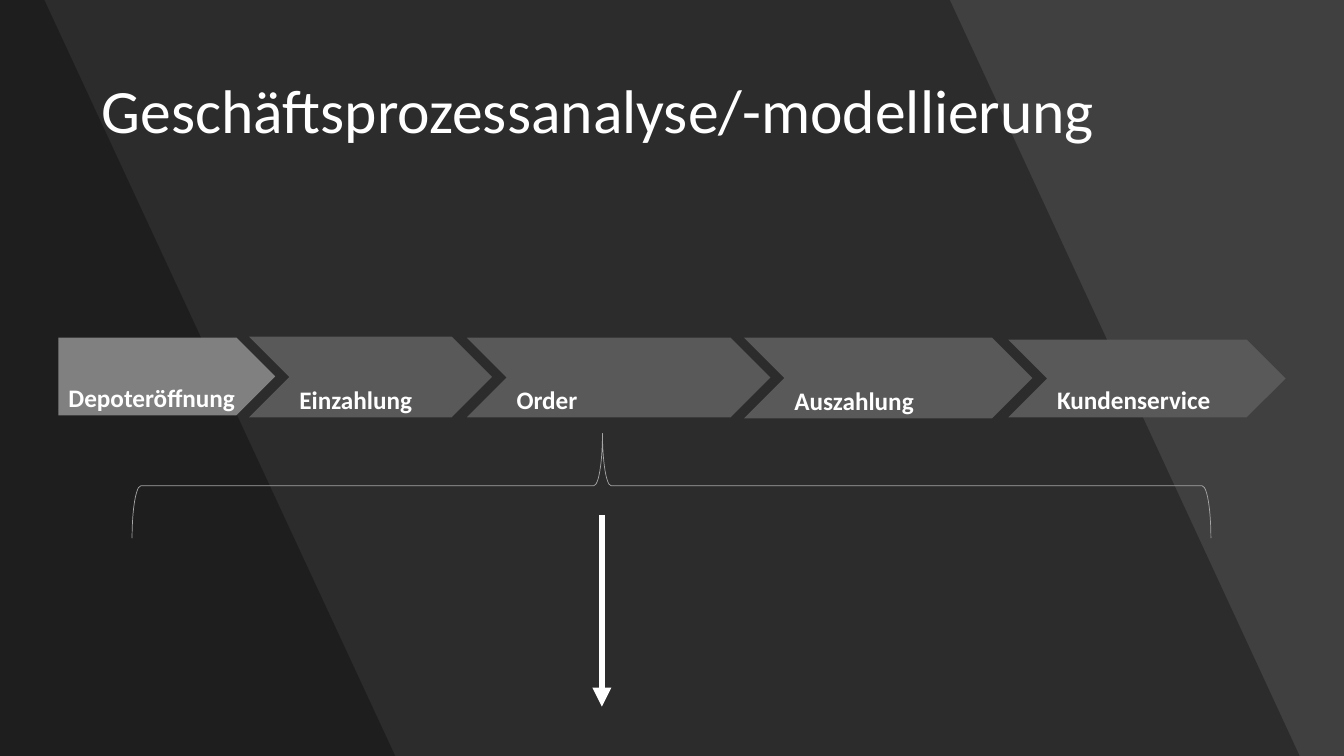
from pptx import Presentation
from pptx.dml.color import RGBColor
from pptx.enum.shapes import MSO_CONNECTOR, MSO_SHAPE
from pptx.enum.text import MSO_ANCHOR, PP_ALIGN
from pptx.oxml.ns import qn
from pptx.util import Inches, Pt
from lxml.etree import SubElement

WHITE = RGBColor(0xFF, 0xFF, 0xFF)
BLACK = RGBColor(0x00, 0x00, 0x00)
BACKDROP = RGBColor(0x40, 0x40, 0x40)
STEP_GRAY = RGBColor(0x59, 0x59, 0x59)
START_GRAY = RGBColor(0x80, 0x80, 0x80)
BRACE_GRAY = RGBColor(0xA5, 0xA5, 0xA5)
WIDTH, HEIGHT = 13.33, 7.5


class ProcessSlide:
    font = "Calibri"

    def __init__(self, prs):
        self.slide = prs.slides.add_slide(prs.slide_layouts[5])
        self.shapes = self.slide.shapes
        fill = self.slide.background.fill
        fill.solid()
        fill.fore_color.rgb = BACKDROP

    def set_text(self, sp, text, size, anchor, bold=False):
        tf = sp.text_frame
        tf.text = text
        tf.word_wrap = True
        tf.vertical_anchor = anchor
        p = tf.paragraphs[0]
        p.alignment = PP_ALIGN.LEFT
        font = p.runs[0].font
        font.name, font.size, font.bold = self.font, Pt(size), bold
        font.color.rgb = WHITE
        return p

    def title(self, text, left, top, width, height):
        sp = self.shapes.title
        sp.left, sp.top = Inches(left), Inches(top)
        sp.width, sp.height = Inches(width), Inches(height)
        self.set_text(sp, text, 44, MSO_ANCHOR.MIDDLE).line_spacing = 0.9
        # Bring the title in front of the shading
        self.shapes._spTree.append(sp._element)

    def shade(self, top_right, bottom_right):
        builder = self.shapes.build_freeform(0, 0, scale=Inches(1) / 100)
        corners = [(top_right, 0), (bottom_right, HEIGHT), (0, HEIGHT)]
        builder.add_line_segments([(x * 100, y * 100) for x, y in corners])
        sp = builder.convert_to_shape()
        sp.shadow.inherit = False
        sp.fill.solid()
        sp.fill.fore_color.rgb = BLACK
        sp.line.fill.background()
        color = sp._element.spPr.find(qn("a:solidFill"))[0]
        SubElement(color, qn("a:alpha")).set("val", "30000")

    def brace(self, left, top, width, height):
        sp = self.shapes.add_shape(MSO_SHAPE.LEFT_BRACE, Inches(left), Inches(top),
                                   Inches(width), Inches(height))
        sp.rotation = 90
        sp.adjustments[0], sp.adjustments[1] = 0.083, 0.564
        sp.shadow.inherit = False
        sp.fill.background()
        sp.line.color.rgb = BRACE_GRAY
        sp.line.width = Pt(0.5)

    def arrow(self, x, top, bottom):
        cn = self.shapes.add_connector(MSO_CONNECTOR.STRAIGHT, Inches(x), Inches(top),
                                       Inches(x), Inches(bottom))
        cn.line.color.rgb = WHITE
        cn.line.width = Pt(4.5)
        ln = cn._element.spPr.find(qn("a:ln"))
        SubElement(ln, qn("a:tailEnd")).set("type", "triangle")
        SubElement(cn._element.spPr, qn("a:effectLst"))

    def step(self, text, left, top, width, height, kind=MSO_SHAPE.CHEVRON, color=STEP_GRAY):
        sp = self.shapes.add_shape(kind, Inches(left), Inches(top),
                                   Inches(width), Inches(height))
        sp.shadow.inherit = False
        sp.fill.solid()
        sp.fill.fore_color.rgb = color
        sp.line.fill.background()
        sp.text_frame.margin_bottom = Inches(0.03)
        self.set_text(sp, text, 18, MSO_ANCHOR.BOTTOM, bold=True)


def main():
    prs = Presentation()
    prs.slide_width, prs.slide_height = Inches(WIDTH), Inches(HEIGHT)
    s = ProcessSlide(prs)

    # Slanted background bands
    s.shade(9.42, 12.89)
    s.shade(0.44, 3.92)

    s.title("Geschäftsprozessanalyse/-modellierung", 0.91, 0.4, 11.51, 1.45)

    # Brace under the process and arrow leading down
    s.brace(6.14, -0.53, 1.04, 10.7)
    s.arrow(5.97, 5.11, 7.01)

    # Process chain
    s.step("Depoteröffnung", 0.58, 3.35, 2.15, 0.77, MSO_SHAPE.PENTAGON, START_GRAY)
    for text, left, top, width, height in [
        ("Einzahlung", 2.47, 3.34, 2.41, 0.8),
        ("Order", 4.63, 3.35, 3.01, 0.79),
        ("Auszahlung", 7.38, 3.35, 2.86, 0.8),
        ("Kundenservice", 10, 3.37, 2.75, 0.77),
    ]:
        s.step(text, left, top, width, height)

    prs.save("out.pptx")


if __name__ == "__main__":
    main()
